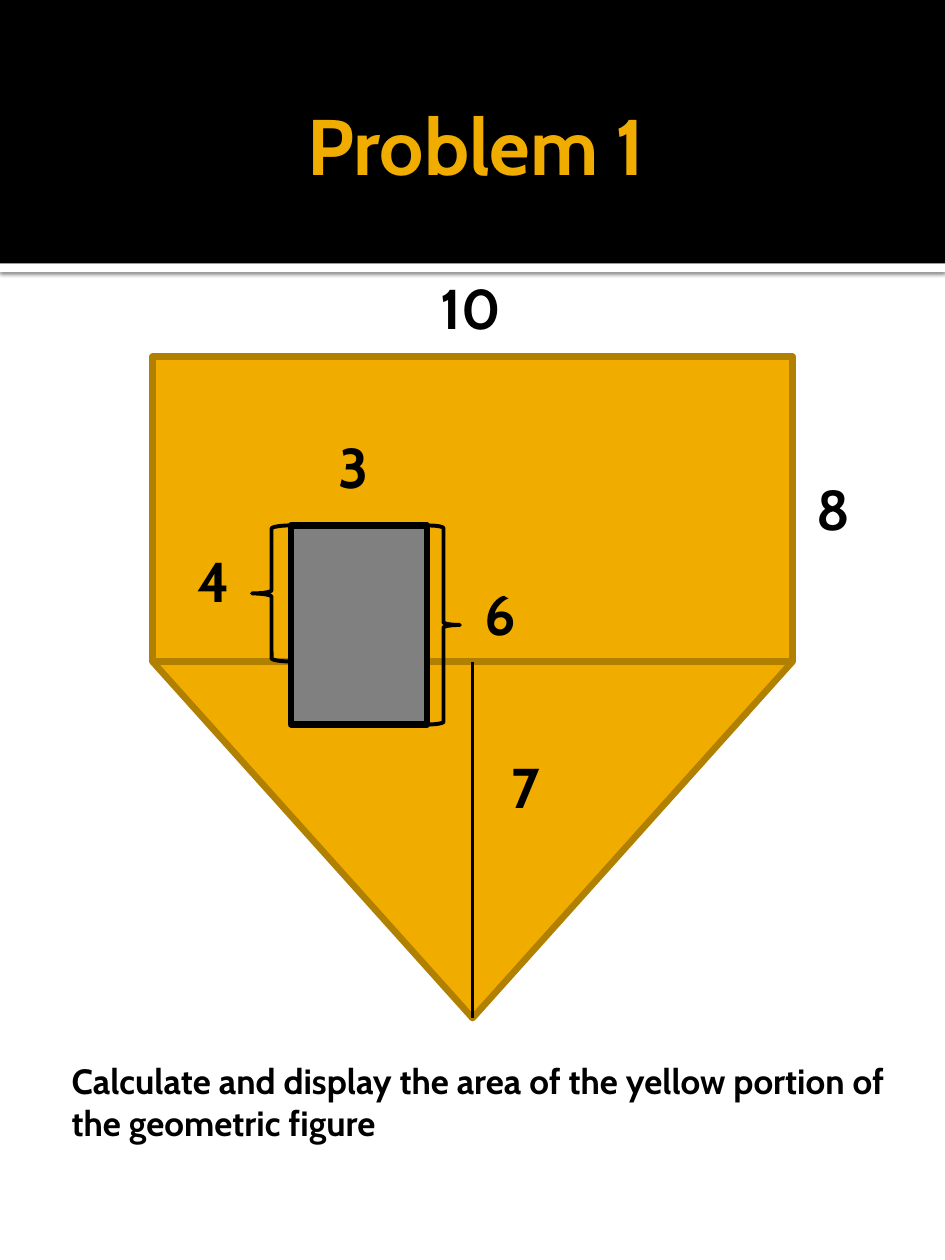
import pptx
import pptx.util
import pptx.dml.color
import pptx.enum.shapes
import pptx.enum.text
import pptx.oxml
import pptx.oxml.ns

Inches = pptx.util.Inches
SHAPES = pptx.enum.shapes.MSO_SHAPE
TEXT = pptx.enum.text
RGB = pptx.dml.color.RGBColor.from_string
THEME = {
    "font": "Cabin", "title_size": 45, "label_size": 32, "task_size": 20,
    "gold": "F0AD00", "dark_gold": "B28000", "black": "000000",
    "white": "FFFFFF", "gray": "808080", "outline": 3.78, "thin": 2.25,
}

presentation = pptx.Presentation()
presentation.slide_width, presentation.slide_height = Inches(7.5), Inches(10)
slide = presentation.slides.add_slide(presentation.slide_layouts[6])


def add_figure(kind, left, top, width, height, fill=None, line=None, weight=0):
    """Add a preset shape with theme colours and no inherited shadow."""
    shape = slide.shapes.add_shape(
        kind, Inches(left), Inches(top), Inches(width), Inches(height))
    shape.shadow.inherit = False
    if fill:
        shape.fill.solid()
        shape.fill.fore_color.rgb = RGB(THEME[fill])
    else:
        shape.fill.background()
    if line:
        shape.line.color.rgb = RGB(THEME[line])
        shape.line.width = pptx.util.Pt(weight)
    else:
        shape.line.fill.background()
    return shape


def add_text(text, left, top, width, height, size, color="black", wrap=True):
    """Add a bold text box and return its text frame."""
    box = slide.shapes.add_textbox(
        Inches(left), Inches(top), Inches(width), Inches(height))
    frame = box.text_frame
    frame.text = text
    frame.word_wrap = wrap
    font = frame.paragraphs[0].runs[0].font
    font.name, font.bold = THEME["font"], True
    font.size = pptx.util.Pt(THEME[size])
    font.color.rgb = RGB(THEME[color])
    return frame


# Header band with a white, shadowed rule below it
band_height = 2.09
rule = add_figure(SHAPES.RECTANGLE, 0, band_height, 7.5, 0.07, "white")
effects = rule._element.spPr.find(pptx.oxml.ns.qn("a:effectLst"))
effects.append(pptx.oxml.parse_xml(
    f'<a:outerShdw {pptx.oxml.ns.nsdecls("a")} blurRad="31750" dist="10160" '
    'dir="5400000" rotWithShape="0"><a:srgbClr val="000000">'
    '<a:alpha val="60000"/></a:srgbClr></a:outerShdw>'))
add_figure(SHAPES.RECTANGLE, 0, 0, 7.5, band_height, "black")
title = add_text("Problem 1", 0.38, 0.23, 6.75, 1.83, "title_size", "gold")
title.vertical_anchor = TEXT.MSO_ANCHOR.MIDDLE
title.margin_right = Inches(0.05)
title.paragraphs[0].alignment = TEXT.PP_ALIGN.CENTER

# Pentagon: a rectangle above an inverted triangle
left, top, width = 1.21, 2.83, 5.08
seam, tip = 5.25, 8.08
center = left + width / 2
gold_style = ("gold", "dark_gold", THEME["outline"])
add_figure(SHAPES.RECTANGLE, left, top, width, seam - top, *gold_style)
triangle = add_figure(
    SHAPES.ISOSCELES_TRIANGLE, left, seam, width, tip - seam, *gold_style)
triangle.rotation = 180

altitude = slide.shapes.add_connector(
    pptx.enum.shapes.MSO_CONNECTOR.STRAIGHT,
    Inches(center), Inches(seam), Inches(center), Inches(tip))
altitude.line.color.rgb = RGB(THEME["black"])
altitude.line.width = pptx.util.Pt(THEME["thin"])
altitude._element.spPr.append(pptx.oxml.parse_xml(
    f'<a:effectLst {pptx.oxml.ns.nsdecls("a")}/>'))

# Gray cut-out and its braces
hole_left, hole_top, hole_width, hole_height = 2.31, 4.17, 1.08, 1.58
add_figure(SHAPES.RECTANGLE, hole_left, hole_top, hole_width, hole_height,
           "gray", "black", THEME["outline"])
for kind, brace_left, brace_width, brace_height in (
        (SHAPES.LEFT_BRACE, 2, 0.31, seam - hole_top),
        (SHAPES.RIGHT_BRACE, hole_left + hole_width, 0.26, hole_height)):
    add_figure(kind, brace_left, hole_top, brace_width, brace_height,
               line="black", weight=THEME["thin"])

# Measurements and task
for label, label_left, label_top in (
        ("10", 3.4, 2.12), ("8", 6.38, 3.72), ("7", 3.96, 5.92),
        ("3", 2.59, 3.38), ("4", 1.47, 4.29), ("6", 3.75, 4.55)):
    label_width = 0.71 if len(label) == 2 else 0.53
    frame = add_text(label, label_left, label_top, label_width, 0.64,
                     "label_size", wrap=False)
    frame.auto_size = TEXT.MSO_AUTO_SIZE.SHAPE_TO_FIT_TEXT
task = add_text(
    "Calculate and display the area of the yellow portion of the geometric figure",
    0.47, 8.36, 6.66, 0.77, "task_size")
task.auto_size = TEXT.MSO_AUTO_SIZE.SHAPE_TO_FIT_TEXT

presentation.save("out.pptx")
